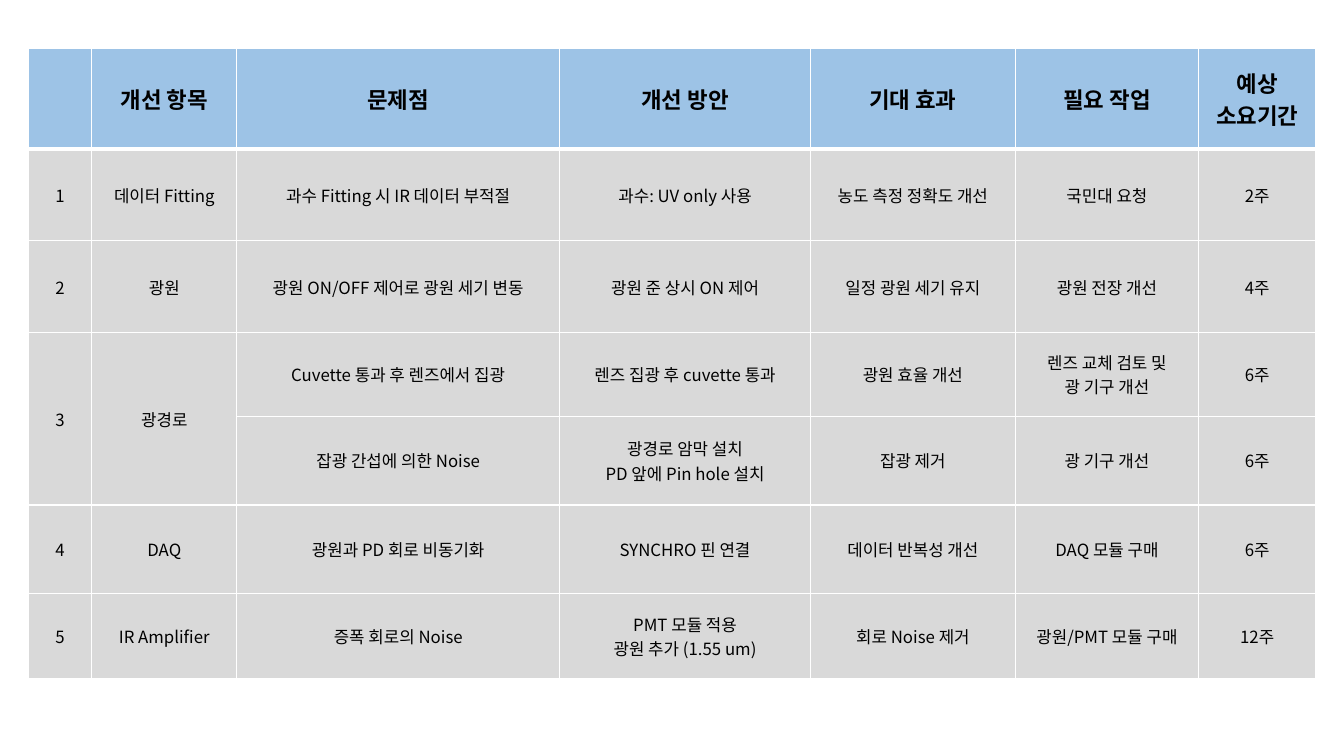
from lxml import etree
from pptx import Presentation, util as u
from pptx.dml.color import RGBColor
from pptx.enum import text
from pptx.oxml.ns import qn

FONT = "Noto Sans CJK KR"
COLS = [0.63, 1.44, 3.2, 2.49, 2.03, 1.82, 1.16]
ROWS = [1, 0.91, 0.91, 0.83, 0.88, 0.88, 0.84]
PLAN = [
    ["", "개선 항목", "문제점", "개선 방안", "기대 효과", "필요 작업", "예상\n소요기간"],
    ["1", "데이터 Fitting", "과수 Fitting 시 IR 데이터 부적절", "과수: UV only 사용",
     "농도 측정 정확도 개선", "국민대 요청", "2주"],
    ["2", "광원", "광원 ON/OFF 제어로 광원 세기 변동", "광원 준 상시 ON 제어",
     "일정 광원 세기 유지", "광원 전장 개선", "4주"],
    ["3", "광경로", "Cuvette 통과 후 렌즈에서 집광", "렌즈 집광 후 cuvette 통과",
     "광원 효율 개선", "렌즈 교체 검토 및\n광 기구 개선", "6주"],
    ["", "", "잡광 간섭에 의한 Noise", "광경로 암막 설치\nPD 앞에 Pin hole 설치",
     "잡광 제거", "광 기구 개선", "6주"],
    ["4", "DAQ", "광원과 PD 회로 비동기화", "SYNCHRO 핀 연결",
     "데이터 반복성 개선", "DAQ 모듈 구매", "6주"],
    ["5", "IR Amplifier", "증폭 회로의 Noise", "PMT 모듈 적용\n광원 추가 (1.55 um)",
     "회로 Noise 제거", "광원/PMT 모듈 구매", "12주"],
]


def paint(form, tone):
    """Give a fill one solid hex colour."""
    form.solid()
    form.fore_color.rgb = RGBColor.from_string(tone)


def edge(cell, top, base):
    """Draw white cell borders with the given top and bottom widths in points."""
    props = cell._tc.get_or_add_tcPr()
    for side, width in zip("LRTB", (1, 1, top, base)):
        line = etree.SubElement(props, qn(f"a:ln{side}"), w=str(u.Pt(width)))
        fill = etree.SubElement(line, qn("a:solidFill"))
        etree.SubElement(fill, qn("a:srgbClr"), val="FFFFFF")


def write(cell, words, size, bold):
    """Write centred lines into a cell."""
    cell.text = words
    cell.vertical_anchor = text.MSO_ANCHOR.MIDDLE
    for para in cell.text_frame.paragraphs:
        para.alignment = text.PP_ALIGN.CENTER
        font = para.font
        font.name, font.size, font.bold = FONT, u.Pt(size), bold
        paint(font.fill, "000000")
        base = para._p.pPr.find(qn("a:defRPr"))
        etree.SubElement(base, qn("a:ea"), typeface=FONT)


def plan(slide, left, top):
    """Build the improvement plan table from its top left corner."""
    box = [u.Inches(n) for n in (left, top, sum(COLS), sum(ROWS))]
    table = slide.shapes.add_table(len(ROWS), len(COLS), *box).table
    table.horz_banding = False
    for col, width in zip(table.columns, COLS):
        col.width = u.Inches(width)
    for r, (row, height) in enumerate(zip(table.rows, ROWS)):
        row.height = u.Inches(height)
        head = r == 0
        for cell, words in zip(row.cells, PLAN[r]):
            edge(cell, 3 if r == 1 else 1, 3 if head else 1)
            paint(cell.fill, "9DC3E6" if head else "D9D9D9")
            write(cell, words, 16 if head else 12, head)
    for c in range(2):
        table.cell(3, c).merge(table.cell(4, c))


def main():
    """Make the deck and save it."""
    deck = Presentation()
    deck.slide_width, deck.slide_height = u.Inches(13.33), u.Inches(7.5)
    plan(deck.slides.add_slide(deck.slide_layouts[6]), 0.28, 0.48)
    deck.save("out.pptx")


if __name__ == "__main__":
    main()
